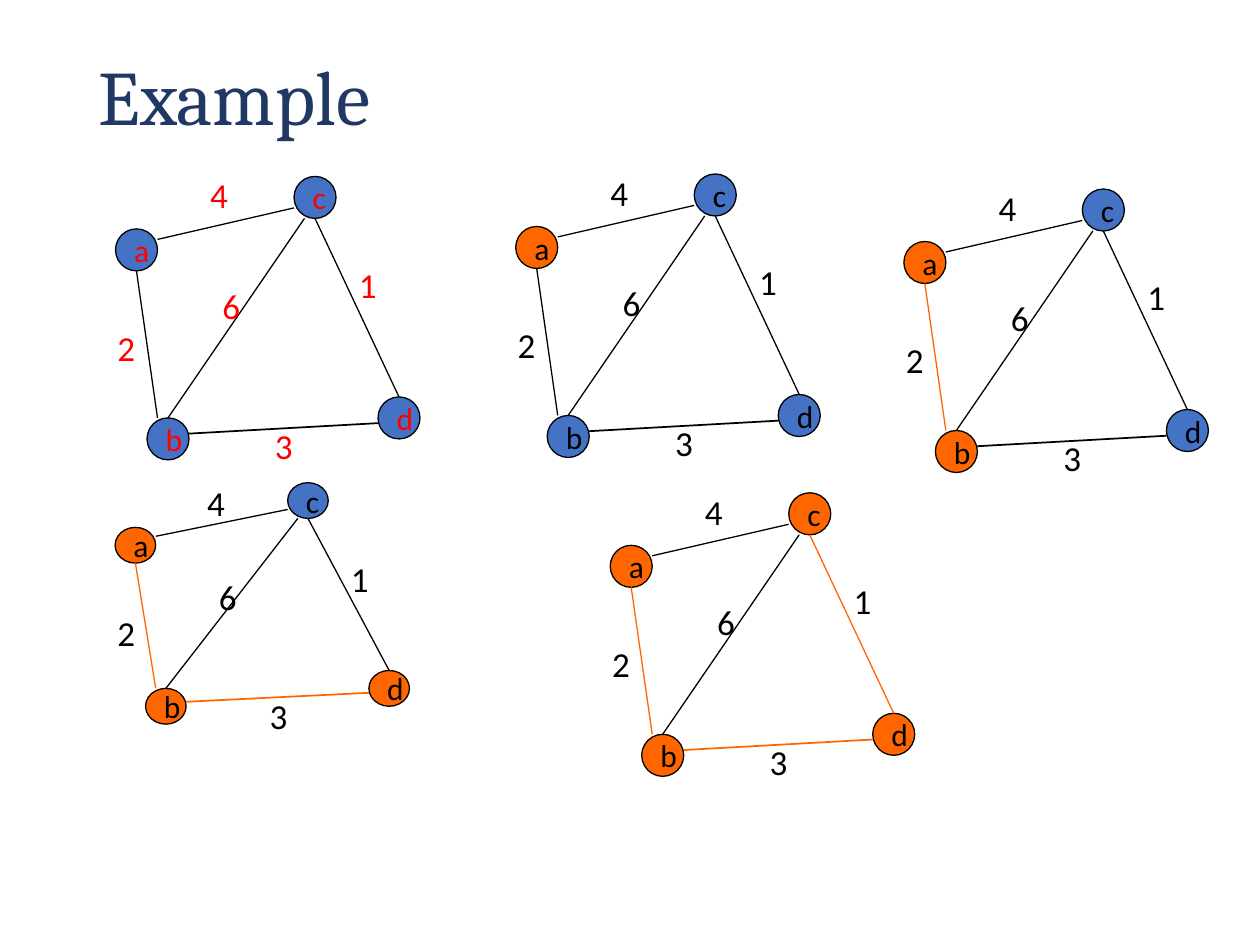
from pptx import Presentation
from pptx.dml.color import RGBColor
from pptx.enum.shapes import MSO_CONNECTOR, MSO_SHAPE
from pptx.enum.text import MSO_ANCHOR, MSO_AUTO_SIZE, PP_ALIGN
from pptx.oxml.ns import qn
from pptx.util import Pt
from lxml.etree import SubElement

BLACK, RED, BLUE, ORANGE, NAVY = "000000", "FF0000", "4472C4", "FF6600", "203864"
UNIT_W, UNIT_H, NODE = 180, 162, 24
NODES = {"c": (108, 0), "d": (156, 126), "b": (24, 138), "a": (6, 30)}
EDGES = {
    "ac": (30, 36, 108, 18, 0.75),
    "ab": (30, 138, 18, 54, 0.75),
    "bc": (36, 138, 114, 24, 0.75),
    "cd": (168, 126, 120, 24, 0.75),
    "bd": (48, 147, 156, 141, 1),
}
WEIGHTS = {"4": (53, -5), "2": (0, 82), "6": (60, 58), "1": (138, 46), "3": (90, 138)}
GRAPHS = [
    ((60, 100.8, 180, 162), "", (), RED),
    ((60, 275.8, 174, 138), "abd", ("ab", "bd"), BLACK),
    ((342.7, 281.6, 180, 162), "abcd", ("ab", "bd", "cd"), BLACK),
    ((288.7, 99.4, 180, 162), "a", (), BLACK),
    ((510.5, 108, 180, 162), "ab", ("ab",), BLACK),
]


def rgb(color):
    return RGBColor.from_string(color)


def write(sp, text, size, font, color):
    p = sp.text_frame.paragraphs[0]
    p.alignment = PP_ALIGN.LEFT
    r = p.add_run()
    r.text = text
    r.font.size = Pt(size)
    r.font.name = font
    r.font.color.rgb = rgb(color)
    return p


def add_title(s, box):
    sp = s.shapes.add_textbox(*map(Pt, box))
    tf = sp.text_frame
    tf.word_wrap = True
    tf.vertical_anchor = MSO_ANCHOR.MIDDLE
    write(sp, "Example", 44, "Cambria", NAVY).line_spacing = 0.9


def add_node(shapes, box, name, fill, color):
    sp = shapes.add_shape(MSO_SHAPE.OVAL, *map(Pt, box))
    sp.shadow.inherit = False
    sp.fill.solid()
    sp.fill.fore_color.rgb = rgb(fill)
    sp.line.color.rgb = rgb(BLACK)
    sp.line.width = Pt(0.75)
    sp.text_frame.word_wrap = False
    sp.text_frame.vertical_anchor = MSO_ANCHOR.MIDDLE
    write(sp, name, 18, "Calibri", color)


def add_edge(shapes, ends, width, color):
    cn = shapes.add_connector(MSO_CONNECTOR.STRAIGHT, *map(Pt, ends))
    cn.line.color.rgb = rgb(color)
    cn.line.width = Pt(width)
    SubElement(cn._element.spPr, qn("a:effectLst"))


def add_weight(shapes, left, top, text, color):
    sp = shapes.add_textbox(Pt(left), Pt(top), Pt(24.4), Pt(31.5))
    sp.text_frame.word_wrap = False
    sp.text_frame.auto_size = MSO_AUTO_SIZE.SHAPE_TO_FIT_TEXT
    write(sp, text, 20, "Calibri", color)


def add_graph(s, box, visited, tree, color):
    left, top, width, height = box
    kx, ky = width / UNIT_W, height / UNIT_H

    def place(x, y):
        return left + x * kx, top + y * ky

    shapes = s.shapes.add_group_shape().shapes
    for name, spot in NODES.items():
        fill = ORANGE if name in visited else BLUE
        add_node(shapes, (*place(*spot), NODE * kx, NODE * ky), name, fill, color)
    for name, (x1, y1, x2, y2, weight) in EDGES.items():
        ends = (*place(x1, y1), *place(x2, y2))
        add_edge(shapes, ends, weight, ORANGE if name in tree else BLACK)
    for text, spot in WEIGHTS.items():
        add_weight(shapes, *place(*spot), text, color)


def main():
    prs = Presentation()
    prs.slide_width, prs.slide_height = Pt(720), Pt(540)
    s = prs.slides.add_slide(prs.slide_layouts[6])
    add_title(s, (49.5, 24.5, 621, 65.5))
    for graph in GRAPHS:
        add_graph(s, *graph)
    prs.save("out.pptx")


if __name__ == "__main__":
    main()
